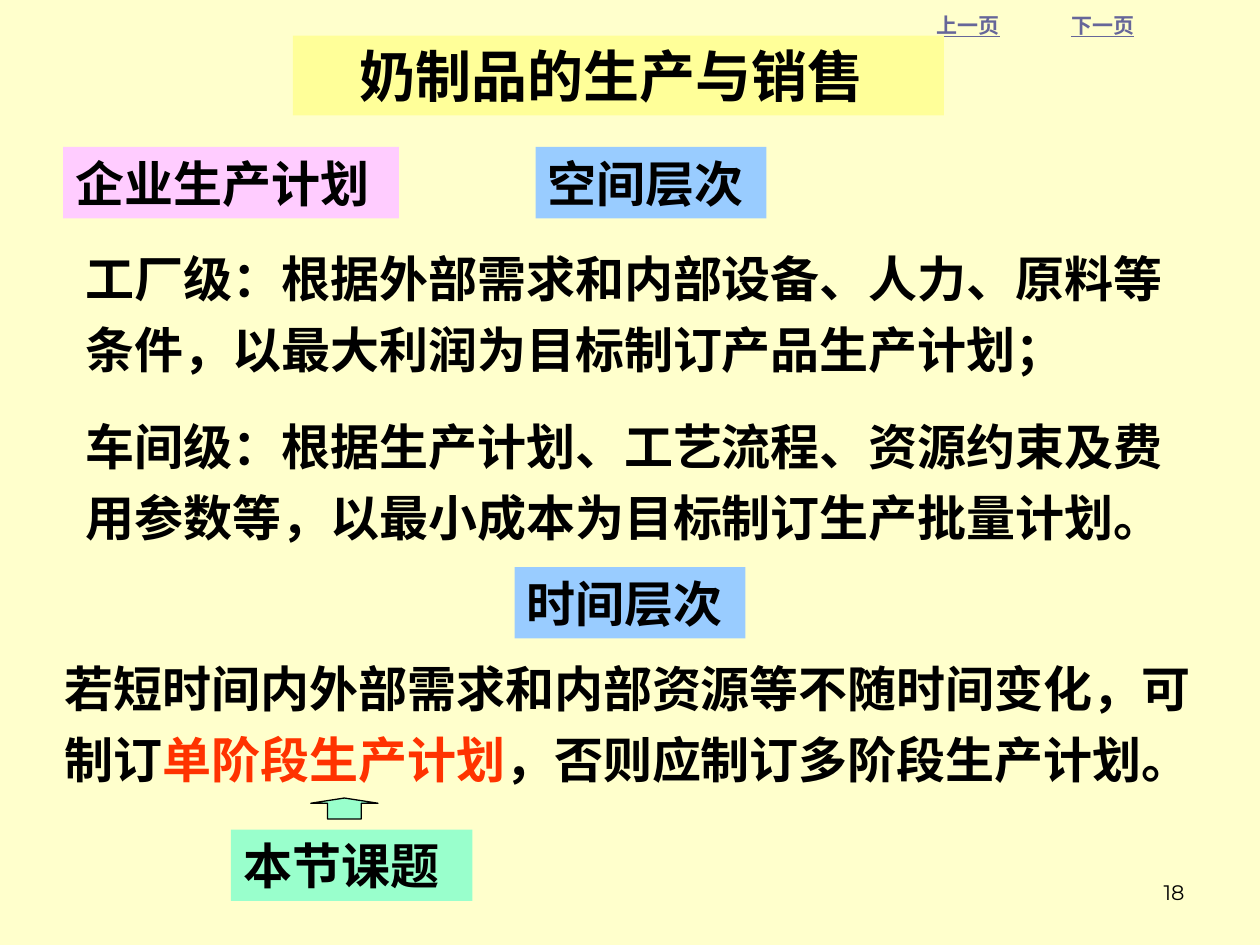
from pptx import Presentation
from pptx import util as u
from pptx.dml.color import RGBColor
from pptx.enum import shapes, text

BLACK = RGBColor(0x00, 0x00, 0x00)
CREAM = RGBColor(0xFF, 0xFF, 0xCC)
YELLOW = RGBColor(0xFF, 0xFF, 0x99)
PINK = RGBColor(0xFF, 0xCC, 0xFF)
BLUE = RGBColor(0x99, 0xCC, 0xFF)
MINT = RGBColor(0x99, 0xFF, 0xCC)
RED = RGBColor(0xFF, 0x33, 0x00)
SLATE = RGBColor(0x66, 0x66, 0x99)

presentation = Presentation()
presentation.slide_width = u.Inches(10)
presentation.slide_height = u.Inches(7.5)
slide = presentation.slides.add_slide(presentation.slide_layouts[6])
slide.background.fill.solid()
slide.background.fill.fore_color.rgb = CREAM

# The slide is a grid of 120 columns by 90 rows
COLUMN = presentation.slide_width / 120
ROW = presentation.slide_height / 90
LEFT, CENTER, RIGHT = text.PP_ALIGN.LEFT, text.PP_ALIGN.CENTER, text.PP_ALIGN.RIGHT
TOP, MIDDLE, BOTTOM = text.MSO_ANCHOR.TOP, text.MSO_ANCHOR.MIDDLE, text.MSO_ANCHOR.BOTTOM


def grid(column, row, columns, rows):
    return [u.Emu(round(length)) for length in
            (column * COLUMN, row * ROW, columns * COLUMN, rows * ROW)]


def add_text(content, cells, fill=None, size=28, font="Times New Roman", color=BLACK,
             bold=True, underline=None, align=LEFT, anchor=TOP, spacing=None,
             wrap=True):
    """Add a box of text; content is a string or a list of (string, color) runs."""
    if fill is None:
        shape = slide.shapes.add_textbox(*grid(*cells))
    else:
        shape = slide.shapes.add_shape(shapes.MSO_SHAPE.RECTANGLE, *grid(*cells))
        shape.shadow.inherit = False
        shape.fill.solid()
        shape.fill.fore_color.rgb = fill
        shape.line.fill.background()
    frame = shape.text_frame
    frame.word_wrap = wrap
    frame.vertical_anchor = anchor
    paragraph = frame.paragraphs[0]
    paragraph.alignment = align
    paragraph.line_spacing = spacing
    for words, run_color in [(content, color)] if isinstance(content, str) else content:
        run = paragraph.add_run()
        run.text = words
        run.font.name = font
        run.font.size = u.Pt(size)
        run.font.bold = bold
        run.font.underline = underline
        run.font.color.rgb = run_color


# Page navigation
for label, column, columns in [("上一页", 88, 8.4), ("下一页", 99.7, 9.5)]:
    add_text(label, (column, 0.6, columns, 3.6), size=12, font="Montserrat",
             color=SLATE, underline=True, align=RIGHT, anchor=BOTTOM, wrap=False)

# Title and coloured labels
add_text("奶制品的生产与销售 ", (27.9, 3.4, 62, 7.6), fill=YELLOW, size=32,
         font="Noto Sans CJK SC", align=CENTER)
for label, column, row, columns, fill in [
    ("企业生产计划", 6, 14, 32, PINK),
    ("空间层次", 51, 14, 22, BLUE),
    ("时间层次", 49, 54, 22, BLUE),
    ("本节课题", 22, 79, 23, MINT),
]:
    add_text(label, (column, row, columns, 6.8), fill=fill)

# Explanations
for content, column, row, columns in [
    ("工厂级：根据外部需求和内部设备、人力、原料等条件，以最大利润为目标制订产品生产计划；",
     7, 22, 107),
    ("车间级：根据生产计划、工艺流程、资源约束及费用参数等，以最小成本为目标制订生产批量计划。",
     7, 38, 107),
    ([("若短时间内外部需求和内部资源等不随时间变化，可制订", BLACK),
      ("单阶段生产计划", RED),
      ("，否则应制订多阶段生产计划。", BLACK)], 5, 61, 111),
]:
    add_text(content, (column, row, columns, 14.6), spacing=1.2)

# Arrow from the topic label to the highlighted words
arrow = slide.shapes.add_shape(shapes.MSO_SHAPE.UP_ARROW, *grid(29.6, 76, 6.4, 2))
arrow.shadow.inherit = False
arrow.adjustments[0] = 0.5
arrow.adjustments[1] = 0.25
arrow.fill.solid()
arrow.fill.fore_color.rgb = MINT
arrow.line.color.rgb = BLACK
arrow.line.width = u.Pt(0.75)

# Page number
add_text("18", (86, 82, 28, 6), size=12, font="Montserrat", bold=False,
         align=RIGHT, anchor=MIDDLE)

presentation.save("out.pptx")
